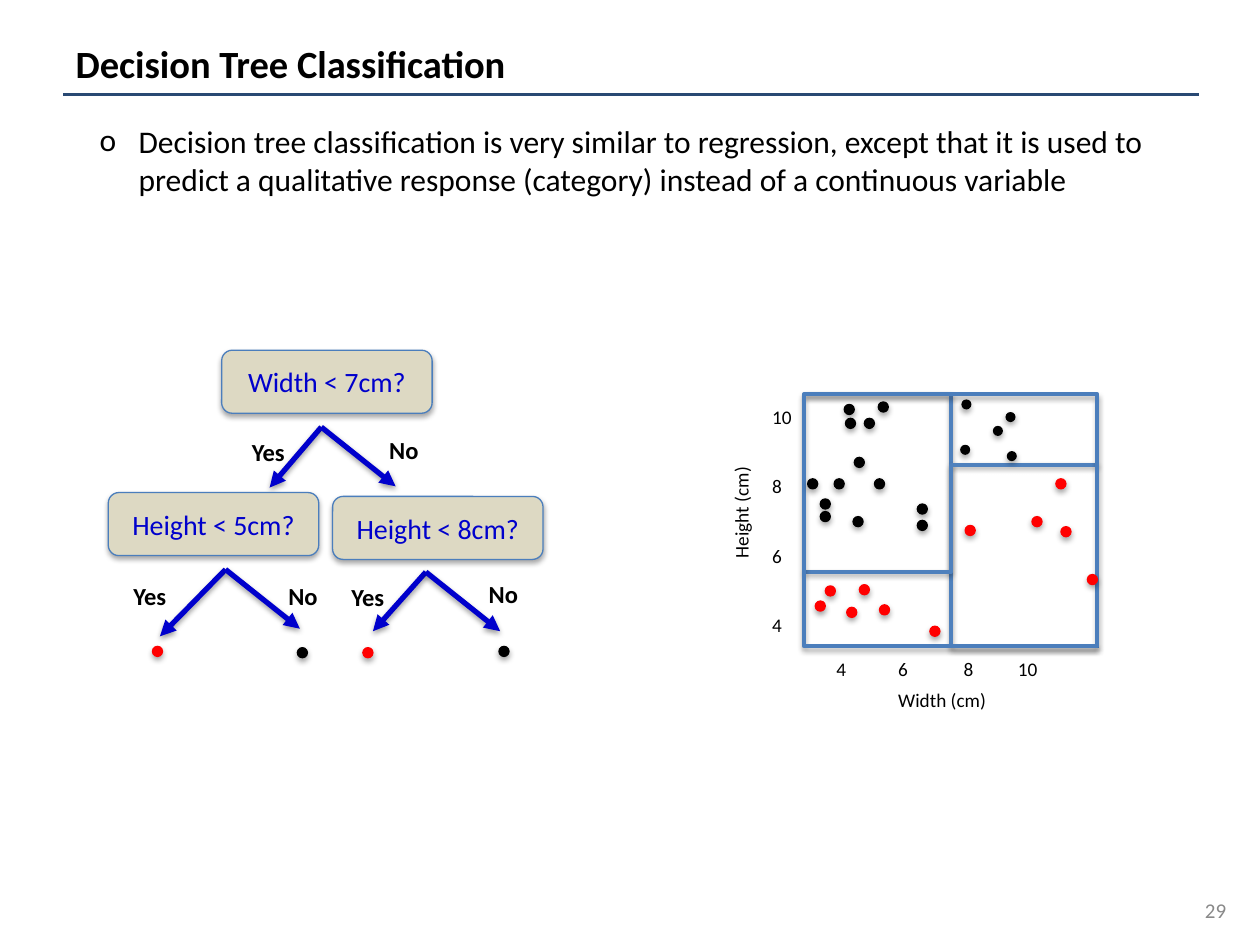
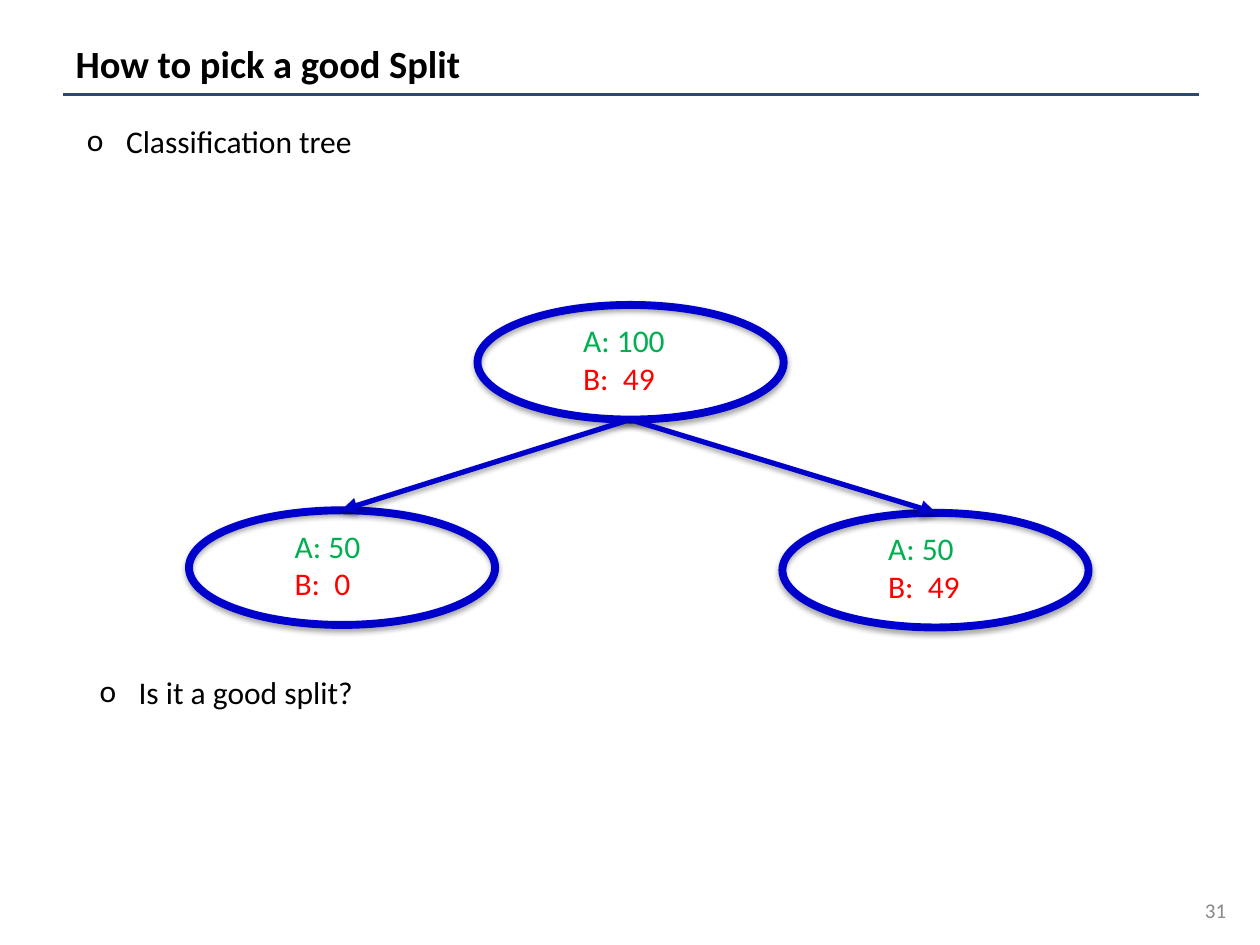
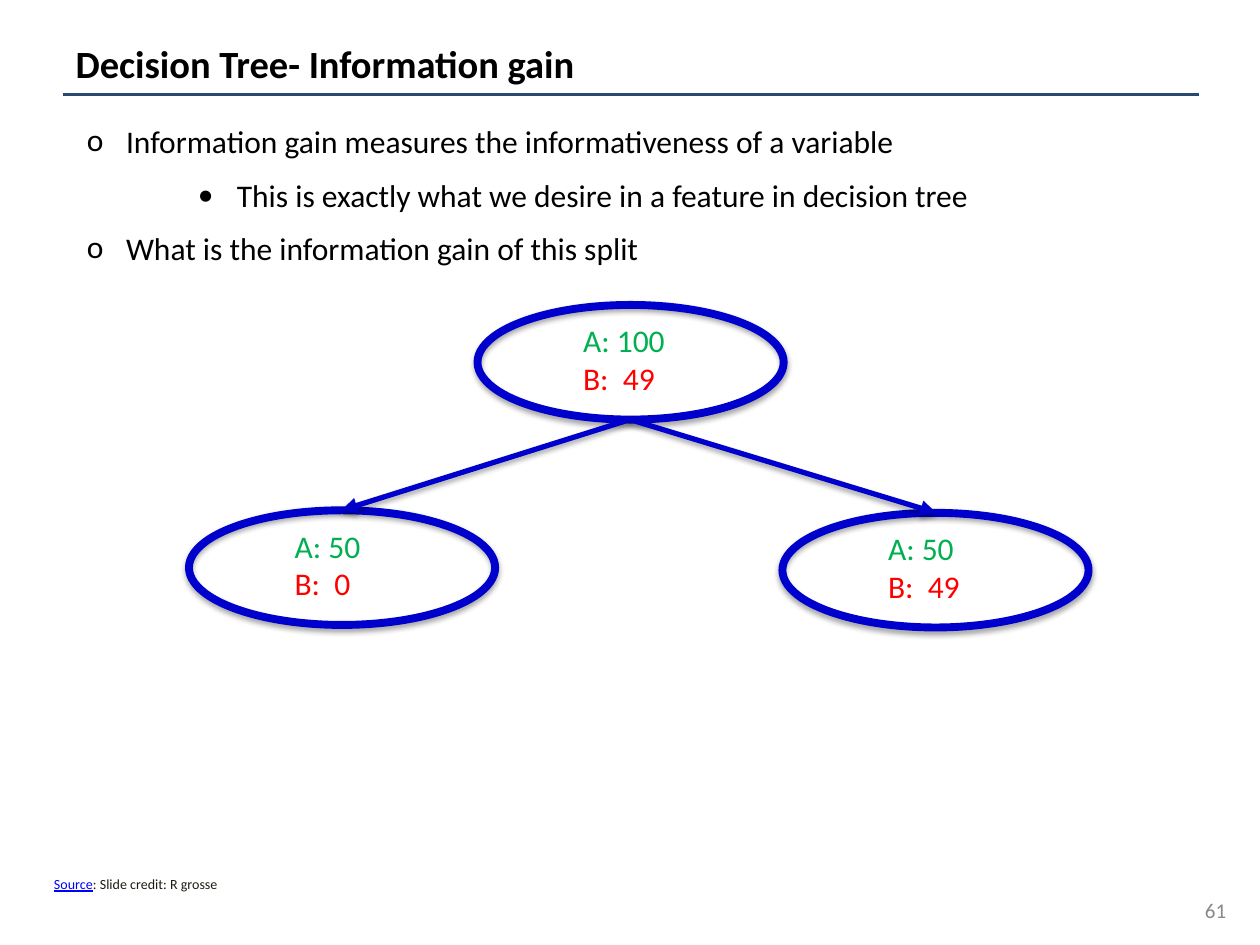
"""Build three slides on decision tree classification, splits and information gain."""
from lxml import etree
from pptx import Presentation
from pptx.dml.color import RGBColor
from pptx.enum import shapes, text
from pptx.oxml import ns
from pptx.util import Inches, Pt

FONT = "Calibri"
BLACK, RED, GREEN, BLUE = "000000", "FF0000", "00B050", "0000CC"
GRAY, RULE, FRAME, SPLIT, SAND = "898989", "294973", "4B7EBC", "4F81BD", "DDD9C3"
LINK, NOTE = "0000FF", "1E1C11"
DOT = 0.08

EDGELESS_DOTS = [(7.98, 3.27), (7.63, 3.17), (7.88, 3.38), (7.99, 3.58), (7.62, 3.53)]
BLACK_DOTS = [(6.51, 3.96), (6.7, 3.21), (6.94, 3.8), (6.97, 3.19), (6.41, 3.8),
              (6.51, 4.06), (6.86, 3.32), (6.77, 4.1), (7.28, 4.13), (7.28, 4),
              (6.78, 3.63), (6.62, 3.8), (6.71, 3.32)]
RED_DOTS = [(6.82, 4.64), (7.38, 4.97), (6.55, 4.65), (6.47, 4.77), (7.66, 4.17),
            (8.42, 4.18), (8.38, 3.8), (6.98, 4.8), (8.19, 4.1), (6.72, 4.82),
            (8.63, 4.56)]
RED_LEAVES = [(1.21, 5.13), (2.88, 5.14)]
BLACK_LEAVES = [(3.96, 5.13), (2.36, 5.14)]


def rgb(value):
    """Turn a hex string into a colour."""
    return RGBColor.from_string(value)


def add_child(parent, tag, **attributes):
    """Append a drawing element with its attributes."""
    child = etree.SubElement(parent, ns.qn(tag))
    for name, value in attributes.items():
        child.set(name, str(value))
    return child


def set_shadow(shape, distance=23000, opacity=35000):
    """Give a shape a soft shadow below it, or none when opacity is zero."""
    effects = add_child(shape._element.spPr, "a:effectLst")
    if opacity:
        shadow = add_child(effects, "a:outerShdw", blurRad=40000, dist=distance,
                           dir=5400000, rotWithShape=0)
        color = add_child(shadow, "a:srgbClr", val=BLACK)
        add_child(color, "a:alpha", val=opacity)


def write(para, words, size=18, color=BLACK, bold=False, underline=False):
    """Add a formatted run to a paragraph."""
    span = para.add_run()
    span.text = words
    font = span.font
    font.name, font.size = FONT, Pt(size)
    font.bold, font.underline = bold, underline
    font.color.rgb = rgb(color)


def place(shape, left, top, width, height):
    """Move and size a shape in inches."""
    shape.left, shape.top = Inches(left), Inches(top)
    shape.width, shape.height = Inches(width), Inches(height)


def next_para(frame, index):
    """Return the first paragraph, or a new one after it."""
    return frame.add_paragraph() if index else frame.paragraphs[0]


def add_label(page, area, lines, wrap=True, align=None, spacing=None, **style):
    """Add a text box with one paragraph for each line."""
    box = page.shapes.add_textbox(*map(Inches, area))
    frame = box.text_frame
    frame.word_wrap = wrap
    for index, line in enumerate(lines):
        para = next_para(frame, index)
        para.alignment, para.line_spacing = align, spacing
        write(para, line, **style)
    return box


def add_line(page, start, end, color, width, kind="STRAIGHT", arrow=False,
             distance=20000, opacity=38000):
    """Add a connector, with an arrowhead at its end if asked."""
    line = page.shapes.add_connector(shapes.MSO_CONNECTOR[kind],
                                     *map(Inches, (*start, *end)))
    line.line.color.rgb = rgb(color)
    line.line.width = Pt(width)
    if arrow:
        add_child(line._element.spPr.find(ns.qn("a:ln")), "a:tailEnd", type="triangle")
    set_shadow(line, distance, opacity)


def add_figure(page, kind, area, fill=None, edge=None, width=0.75):
    """Add a preset shape with a shadow."""
    figure = page.shapes.add_shape(shapes.MSO_SHAPE[kind], *map(Inches, area))
    if fill:
        figure.fill.solid()
        figure.fill.fore_color.rgb = rgb(fill)
    else:
        figure.fill.background()
    if edge:
        figure.line.color.rgb = rgb(edge)
        figure.line.width = Pt(width)
    else:
        figure.line.fill.background()
    set_shadow(figure)
    return figure


def add_dots(page, corners, fill, edge=None):
    """Scatter equal dots at the given corners."""
    for corner in corners:
        add_figure(page, "OVAL", (*corner, DOT, DOT), fill, edge)


def add_page(deck, layout, title, number):
    """Add a slide with its title, rule and page number."""
    page = deck.slides.add_slide(deck.slide_layouts[layout])
    add_line(page, (0.5, 0.75), (9.52, 0.75), RULE, 2, opacity=0)
    heading = page.shapes.title
    place(heading, 0.5, 0.25, 9, 0.5)
    frame = heading.text_frame
    frame.auto_size = text.MSO_AUTO_SIZE.NONE
    frame.vertical_anchor = text.MSO_ANCHOR.MIDDLE
    frame.paragraphs[0].alignment = text.PP_ALIGN.LEFT
    write(frame.paragraphs[0], title, size=22, bold=True)
    folio = add_label(page, (7.5, 7.02, 2.33, 0.4), [number],
                      align=text.PP_ALIGN.RIGHT, size=12, color=GRAY)
    folio.text_frame.vertical_anchor = text.MSO_ANCHOR.MIDDLE
    return page


def fill_list(body, area, items):
    """Fill a body placeholder with (level, words) bullet items."""
    place(body, *area)
    frame = body.text_frame
    frame.auto_size = text.MSO_AUTO_SIZE.NONE
    frame.vertical_anchor = text.MSO_ANCHOR.TOP
    for index, (level, words) in enumerate(items):
        para = next_para(frame, index)
        para.level = level
        para.space_before, para.space_after = Pt(8), Pt(1)
        write(para, words)
        format_ = para._p.get_or_add_pPr()
        format_.set("marL", str(Inches(1.38 if level else 0.5)))
        format_.set("indent", str(Inches(-0.31)))
        add_child(format_, "a:buFont", typeface=FONT)
        add_child(format_, "a:buChar", char="•" if level else "o")


def add_decision(page, corner, question, apex, yes_end, yes_label, no_label):
    """Add a question box with its Yes and No arrows."""
    box = add_figure(page, "ROUNDED_RECTANGLE", (*corner, 1.67, 0.5), SAND, FRAME)
    box.text_frame.vertical_anchor = text.MSO_ANCHOR.MIDDLE
    para = box.text_frame.paragraphs[0]
    para.alignment = text.PP_ALIGN.CENTER
    write(para, question, size=16, color=BLUE)
    no_end = (apex[0] + 0.59, apex[1] + 0.47)
    for end in (yes_end, no_end):
        add_line(page, apex, end, BLUE, 3, arrow=True)
    for words, spot, width in (("Yes", yes_label, 0.48), ("No", no_label, 0.44)):
        add_label(page, (*spot, width, 0.34), [words], wrap=False, size=14, bold=True)


def add_scatter(page):
    """Draw the width and height plane with its regions, dots and axis labels."""
    add_line(page, (6.38, 3.13), (8.72, 5.13), SPLIT, 2, kind="ELBOW")
    add_line(page, (6.38, 4.54), (8.72, 3.69), SPLIT, 2, kind="ELBOW")
    add_figure(page, "RECTANGLE", (6.38, 3.13, 2.33, 2), edge=FRAME, width=2.25)
    add_dots(page, EDGELESS_DOTS, BLACK)
    add_dots(page, BLACK_DOTS, BLACK, BLACK)
    add_dots(page, RED_DOTS, RED, RED)
    ticks = add_label(page, (6.54, 5.17, 2.15, 0.29), ["4\t6\t8\t10"], size=11)
    stops = add_child(ticks.text_frame.paragraphs[0]._p.get_or_add_pPr(), "a:tabLst")
    for stop in (0.49, 1.01, 1.44):
        add_child(stops, "a:tab", pos=Inches(stop), algn="l")
    add_label(page, (6.03, 2.8, 0.44, 2.22), ["10", "8", "6", "4"], spacing=3.0, size=11)
    height = add_label(page, (5.24, 3.74, 1.29, 0.29), ["Height (cm)"], size=11)
    height.rotation = 270
    add_label(page, (7.03, 5.41, 1.07, 0.29), ["Width (cm)"], size=11)


def add_count_node(page, left, top, count_a, count_b):
    """Add an ellipse holding the counts of classes A and B."""
    add_figure(page, "OVAL", (left, top, 2.43, 0.91), edge=BLUE, width=4.5)
    box = add_label(page, (left + 0.74, top + 0.08, 1.67, 0.71),
                    [f"A: {count_a}"], color=GREEN)
    write(box.text_frame.add_paragraph(), f"B:  {count_b}", color=RED)


def add_split(page):
    """Draw the parent node and its two children."""
    add_count_node(page, 3.79, 2.42, 100, 49)
    add_count_node(page, 1.5, 4.05, 50, 0)
    add_count_node(page, 6.21, 4.07, 50, 49)
    for end in ((2.71, 4.05), (7.43, 4.07)):
        add_line(page, (5, 3.33), end, BLUE, 3, arrow=True,
                 distance=23000, opacity=35000)


def build_classification(deck):
    """Build the slide on decision tree classification."""
    page = add_page(deck, 1, "Decision Tree Classification", "29")
    fill_list(page.placeholders[1], (0.5, 0.92, 9.36, 3.01), [
        (0, "Decision tree classification is very similar to regression, except that "
            "it is used to predict a qualitative response (category) instead of a "
            "continuous variable")])
    add_scatter(page)
    add_decision(page, (1.76, 2.78), "Width < 7cm?", (2.55, 3.39), (2.14, 3.87),
                 (1.9, 3.42), (2.99, 3.4))
    add_decision(page, (0.86, 3.91), "Height < 5cm?", (1.79, 4.52), (1.27, 5.05),
                 (0.96, 4.56), (2.19, 4.56))
    add_decision(page, (2.64, 3.94), "Height < 8cm?", (3.38, 4.54), (2.96, 5.01),
                 (2.69, 4.57), (3.78, 4.55))
    add_dots(page, RED_LEAVES, RED, RED)
    add_dots(page, BLACK_LEAVES, BLACK, BLACK)


def build_good_split(deck):
    """Build the slide that asks for a good split."""
    page = add_page(deck, 3, "How to pick a good Split", "31")
    fill_list(page.placeholders[1], (0.4, 0.92, 9.46, 1.43), [(0, "Classification tree")])
    add_split(page)
    fill_list(page.placeholders[2], (0.5, 5.29, 9.46, 1.43), [(0, "Is it a good split?")])


def build_information_gain(deck):
    """Build the slide on information gain."""
    page = add_page(deck, 1, "Decision Tree- Information gain", "61")
    fill_list(page.placeholders[1], (0.4, 0.92, 9.46, 1.43), [
        (0, "Information gain measures the informativeness of a variable"),
        (2, "This is exactly what we desire in a feature in decision tree"),
        (0, "What is the information gain of this split")])
    add_split(page)
    source = add_label(page, (0.33, 6.9, 9.08, 0.37), ["Source"], size=8, color=LINK,
                       underline=True)
    write(source.text_frame.paragraphs[0], ": Slide credit: R grosse", size=8, color=NOTE)


def main():
    """Build and save the deck."""
    deck = Presentation()
    deck.slide_width, deck.slide_height = Inches(10), Inches(7.5)
    build_classification(deck)
    build_good_split(deck)
    build_information_gain(deck)
    deck.save("out.pptx")


if __name__ == "__main__":
    main()
